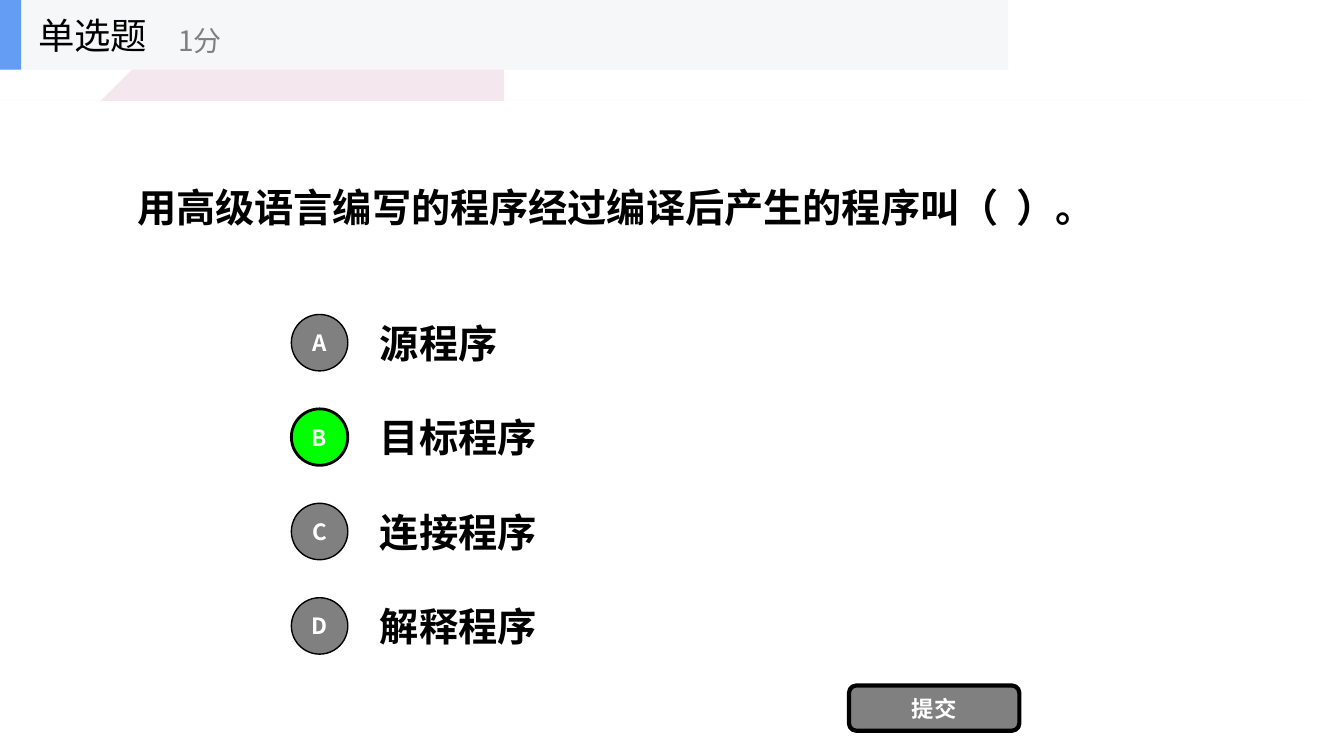
from dataclasses import dataclass

from lxml.etree import SubElement
from pptx import Presentation
from pptx.dml.color import RGBColor
from pptx.enum.shapes import MSO_SHAPE
from pptx.enum.text import MSO_ANCHOR, MSO_AUTO_SIZE, PP_ALIGN
from pptx.oxml.ns import qn
from pptx.util import Inches, Pt

# Content
KIND, SCORE = "单选题", "1分"
QUESTION = "用高级语言编写的程序经过编译后产生的程序叫（  ）。"
OPTIONS = [("A", "源程序"), ("B", "目标程序"), ("C", "连接程序"), ("D", "解释程序")]
ANSWER = "B"
SUBMIT = "提交"


@dataclass(frozen=True)
class Theme:
    font: str = "Noto Sans CJK SC"
    black: str = "000000"
    white: str = "FFFFFF"
    grey: str = "808080"
    green: str = "00FF00"
    blue: str = "639EF4"
    bar: str = "F6F7F8"
    band: str = "F4E7ED"
    body: int = 28
    kind: int = 26
    score: int = 20
    button: int = 16


T = Theme()

# Layout, in inches
WIDTH, HEIGHT = 13.33, 7.5
BAND = [(0, 1.03), (1.02, 1.03), (1.8, 0.39), (5, 0.39),
        (5.24, 0.6), (13.32, 0.59), (13.34, 1.38), (0.01, 1.36)]
BAR_H = 0.69
FIRST_ROW, LAST_ROW = 3.4, 6.21  # centres of the option rows
ROW_GAP = (LAST_ROW - FIRST_ROW) / (len(OPTIONS) - 1)
BADGE_X, BADGE = 2.89, 0.56
OPTION_X, OPTION_W, OPTION_H = 3.67, 7, 0.7


def rgb(value):
    return RGBColor.from_string(value)


def write(sp, text, size, color, bold=False, align=PP_ALIGN.LEFT):
    tf = sp.text_frame
    tf.word_wrap = True
    tf.auto_size = MSO_AUTO_SIZE.NONE
    tf.vertical_anchor = MSO_ANCHOR.MIDDLE
    p = tf.paragraphs[0]
    p.alignment = align
    r = p.add_run()
    r.text = text
    r.font.size, r.font.bold, r.font.name = Pt(size), bold, T.font
    r.font.color.rgb = rgb(color)
    SubElement(r.font._element, qn("a:ea")).set("typeface", T.font)


def paint(sp, fill, line=0):
    sp.shadow.inherit = False
    sp.fill.solid()
    sp.fill.fore_color.rgb = rgb(fill)
    if line:
        sp.line.color.rgb = rgb(T.black)
        sp.line.width = Pt(line)
    else:
        sp.line.fill.background()


def add_block(shapes, preset, box, fill, line=0):
    sp = shapes.add_shape(preset, *map(Inches, box))
    paint(sp, fill, line)
    return sp


def add_label(shapes, box, *style):
    write(shapes.add_textbox(*map(Inches, box)), *style)


def add_button(shapes, preset, box, text, fill, line):
    sp = add_block(shapes, preset, box, fill, line)
    tf = sp.text_frame
    tf.margin_left = tf.margin_right = tf.margin_top = tf.margin_bottom = 0
    write(sp, text, T.button, T.white, True, PP_ALIGN.CENTER)


def main():
    prs = Presentation()
    prs.slide_width, prs.slide_height = Inches(WIDTH), Inches(HEIGHT)
    s = prs.slides.add_slide(prs.slide_layouts[5])

    # Question
    title = s.shapes.title
    title.left, title.top, title.width, title.height = map(
        Inches, (0.76, 1.23, 11.73, 1.65))
    title.text_frame.margin_left = Inches(0.6)
    write(title, QUESTION, T.body, T.black, True)

    # Background band
    outline = s.shapes.build_freeform(*BAND[0], scale=Inches(1))
    outline.add_line_segments(BAND[1:], close=True)
    paint(outline.convert_to_shape(), T.band)

    # Options with letter badges
    for i, (letter, text) in enumerate(OPTIONS):
        centre = FIRST_ROW + i * ROW_GAP
        right = letter == ANSWER
        add_label(s.shapes, (OPTION_X, centre - OPTION_H / 2, OPTION_W, OPTION_H),
                  text, T.body, T.black, True)
        add_button(s.shapes, MSO_SHAPE.OVAL,
                   (BADGE_X, centre - BADGE / 2, BADGE, BADGE),
                   letter, T.green if right else T.grey, 2 if right else 1)

    # Submit button
    add_button(s.shapes, MSO_SHAPE.ROUNDED_RECTANGLE, (8.42, 6.8, 1.69, 0.45),
               SUBMIT, T.grey, 3)

    # Header bar
    header = s.shapes.add_group_shape().shapes
    add_block(header, MSO_SHAPE.RECTANGLE, (0, 0, 10, BAR_H), T.bar)
    add_block(header, MSO_SHAPE.RECTANGLE, (0, 0, 0.21, BAR_H), T.blue)
    add_label(header, (0.28, 0, 2.08, BAR_H), KIND, T.kind, T.black)
    add_label(header, (1.67, 0.12, 2.5, 0.56), SCORE, T.score, T.grey)

    prs.save("out.pptx")


if __name__ == "__main__":
    main()
